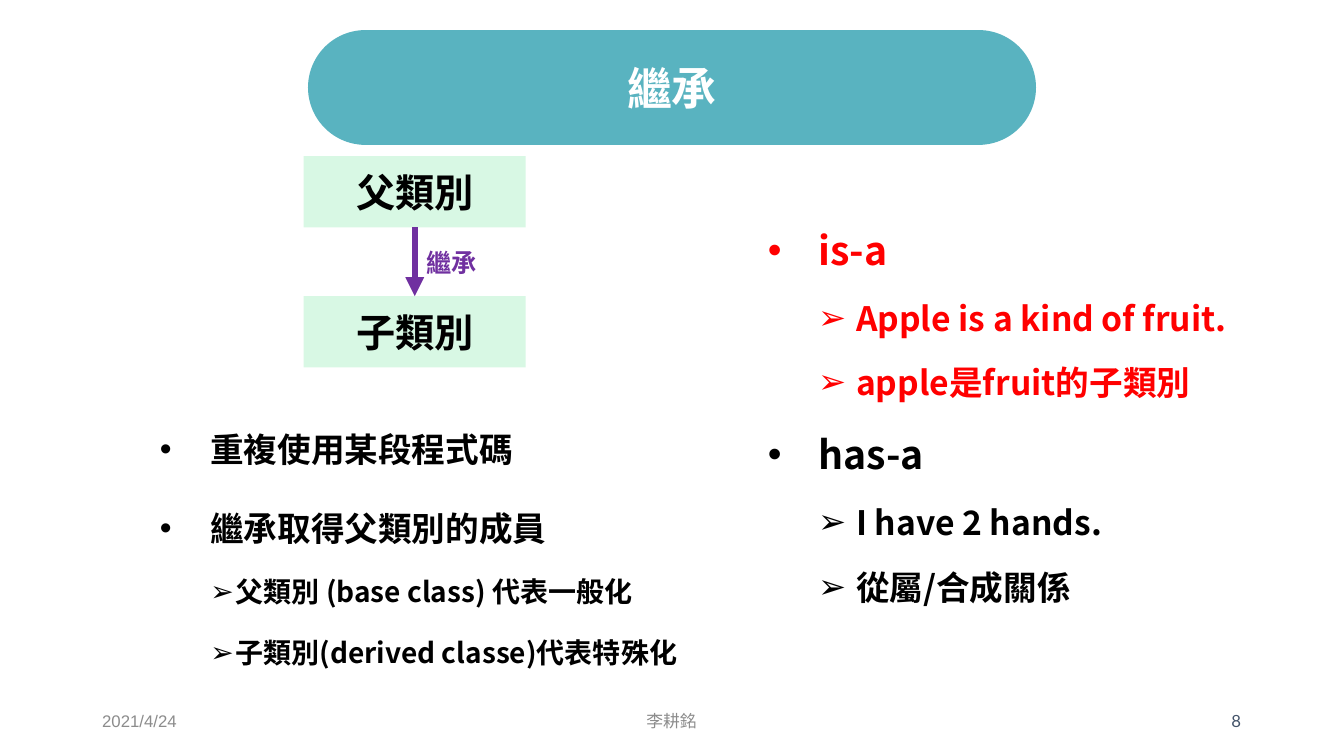
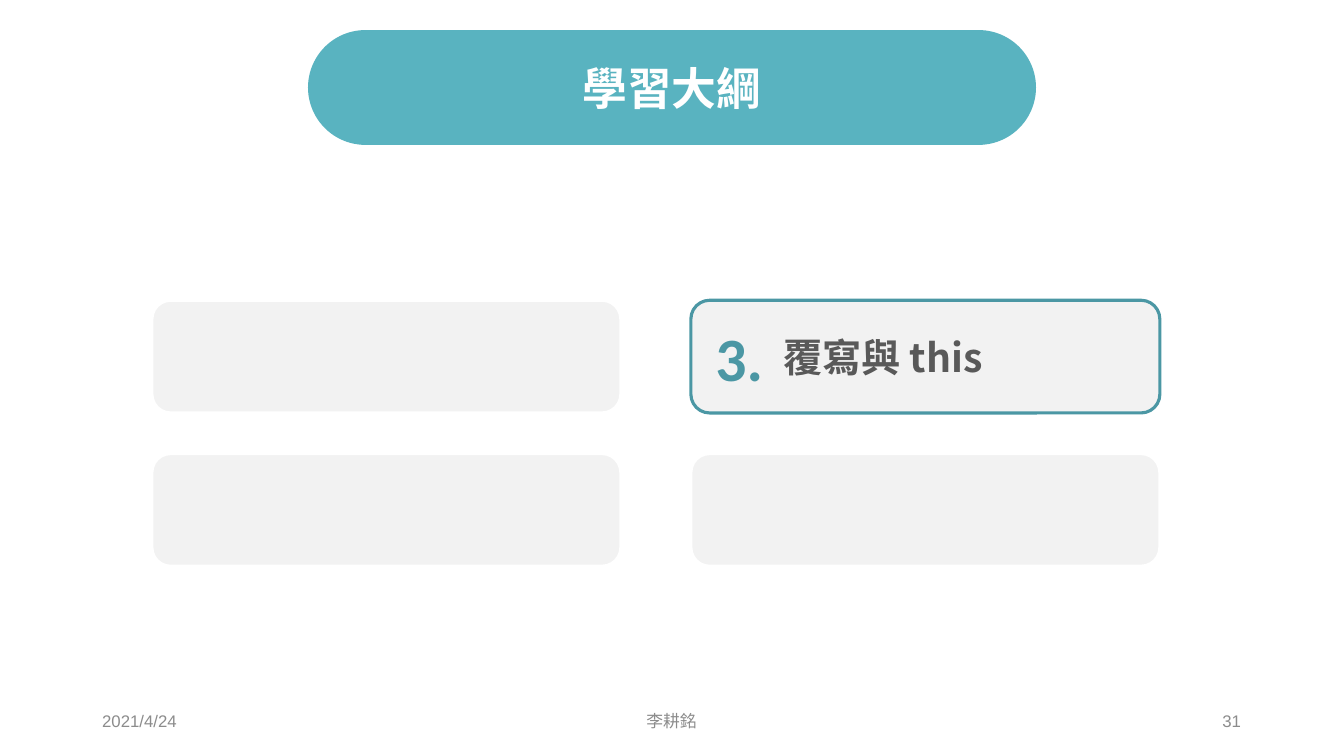
from lxml import etree
from pptx import Presentation
from pptx.dml.color import RGBColor
from pptx.enum import shapes, text
from pptx.oxml import ns
from pptx.util import Pt

COLORS = {
    "band": "59B3C0", "white": "FFFFFF", "black": "000000", "red": "FF0000",
    "class": "D8F8E4", "arrow": "7030A0", "card": "F2F2F2", "accent": "4B97A4",
    "label": "595959", "footer": "8C8C8C", "page": "44546A",
}
SC, TC = "Noto Sans CJK SC", "Noto Sans CJK TC"
ALIGN, ANCHOR = text.PP_ALIGN, text.MSO_ANCHOR
SHAPE = shapes.MSO_SHAPE
TITLE_BOX = (66, 21.5, 828, 82)
BAND_BOX = (220, 21.5, 520, 82)
FOOTER_BOX = (73, 500.5, 813.5, 29)


def rgb(name):
    return RGBColor.from_string(COLORS[name])


def sub(parent, tag, **attributes):
    return etree.SubElement(parent, ns.qn(tag), attributes)


def place(shape, box):
    shape.left, shape.top, shape.width, shape.height = (Pt(value) for value in box)


def style(paragraph, size, color, font=SC, bold=True):
    for run in paragraph.runs:
        run.font.size, run.font.bold, run.font.name = Pt(size), bold, font
        run.font.color.rgb = rgb(color)
        east_asian = font if font in (SC, TC) else SC
        run.font._element.find(ns.qn("a:latin")).addnext(
            etree.Element(ns.qn("a:ea"), typeface=east_asian))


def write(shape, content, size, color, font=SC, bold=True,
          align=ALIGN.LEFT, anchor=ANCHOR.MIDDLE):
    frame = shape.text_frame
    frame.text = content
    frame.word_wrap, frame.vertical_anchor = True, anchor
    frame.margin_left = frame.margin_right = 0
    frame.margin_top = frame.margin_bottom = 0
    for paragraph in frame.paragraphs:
        paragraph.alignment = align
        style(paragraph, size, color, font, bold)


def add_text(slide, box, content, *args, **options):
    write(slide.shapes.add_textbox(*map(Pt, box)), content, *args, **options)


def add_box(slide, kind, box, fill, line=None):
    shape = slide.shapes.add_shape(kind, *map(Pt, box))
    shape.shadow.inherit = False
    shape.fill.solid()
    shape.fill.fore_color.rgb = rgb(fill)
    if line:
        shape.line.color.rgb, shape.line.width = rgb(line), Pt(2.25)
    else:
        shape.line.fill.background()
    return shape


def add_band(slide, box):
    left, top, width, height = box
    for end in (left, left + width - height):
        add_box(slide, SHAPE.OVAL, (end, top, height, height), "band")
    return add_box(slide, SHAPE.RECTANGLE,
                   (left + height / 2, top, width - height, height), "band")


def add_title(slide, content, font):
    band = add_band(slide, BAND_BOX)
    title = slide.shapes.title
    band._element.addnext(title._element)
    place(title, TITLE_BOX)
    write(title, content, 32, "white", font, align=ALIGN.CENTER)


def add_footer(slide, page, page_font="Arial", page_color="footer"):
    left, top, width, height = FOOTER_BOX
    third = width / 3
    for index, (content, align, font, color) in enumerate((
        ("2021/4/24", ALIGN.LEFT, "Arial", "footer"),
        ("李耕銘", ALIGN.CENTER, "Arial", "footer"),
        (page, ALIGN.RIGHT, page_font, page_color),
    )):
        add_text(slide, (left + index * third, top, third, height),
                 content, 12, color, font, False, align=align)


def fill_list(placeholder, box, items, sizes, indents, before):
    place(placeholder, box)
    frame = placeholder.text_frame
    frame.text = "\n".join(content for _, content, _ in items)
    frame.word_wrap, frame.auto_size = True, text.MSO_AUTO_SIZE.NONE
    frame.vertical_anchor = ANCHOR.TOP
    for paragraph, (level, _, color) in zip(frame.paragraphs, items):
        paragraph.level = level
        paragraph.line_spacing = 1.6
        paragraph.space_before = Pt(before[level])
        style(paragraph, sizes[level], color)
        margin, hanging = indents[level]
        properties = paragraph._p.get_or_add_pPr()
        properties.set("marL", str(Pt(margin)))
        properties.set("indent", str(-Pt(hanging)))
        sub(properties, "a:buFont", typeface="Arial")
        sub(properties, "a:buChar", char="•➢"[level])


def add_arrow(slide, start, end):
    arrow = slide.shapes.add_connector(shapes.MSO_CONNECTOR.STRAIGHT, 0, 0, 0, 0)
    arrow.begin_connect(start, 2)
    arrow.end_connect(end, 0)
    arrow.line.color.rgb, arrow.line.width = rgb("arrow"), Pt(4.5)
    sub(arrow.line._get_or_add_ln(), "a:tailEnd", type="triangle")
    sub(arrow._element.spPr, "a:effectLst")


def add_class_diagram(slide, box):
    left, top, width, height = box
    class_height = 51
    classes = []
    for content, y in (("父類別", top), ("子類別", top + height - class_height)):
        shape = add_box(slide, SHAPE.RECTANGLE, (left, y, width, class_height), "class")
        write(shape, content, 28, "black", "Calibri", align=ALIGN.CENTER)
        classes.append(shape)
    add_arrow(slide, *classes)
    gap = height - 2 * class_height
    add_text(slide, (left + width / 2 + 8.5, top + class_height + 0.5, 44, gap),
             "繼承", 18, "arrow", "Calibri")


def add_card(slide, box, line):
    add_box(slide, SHAPE.ROUNDED_RECTANGLE, box, "card", line)


def add_active_card(slide, box, number, content):
    left, top, width, height = box
    add_card(slide, box, "accent")
    add_text(slide, (left + 10, top, 49, height), number, 44,
             "accent", "Calibri", align=ALIGN.CENTER)
    add_text(slide, (left + 66, top, width - 70, height), content, 28, "label", TC)


def add_cards(slide, box, active, content):
    left, top, width, height = box
    card_width, card_height = 335, 80.5
    for index in range(4):
        column, row = divmod(index, 2)
        card_box = (left + column * (width - card_width),
                    top + row * (height - card_height), card_width, card_height)
        if index + 1 == active:
            add_active_card(slide, card_box, f"{active}.", content)
        else:
            add_card(slide, card_box, "white")


def build_inheritance(presentation):
    slide = presentation.slides.add_slide(presentation.slide_layouts[3])
    add_title(slide, "繼承", SC)
    fill_list(slide.placeholders[1], (107, 285.5, 408, 220), [
        (0, "重複使用某段程式碼", "black"),
        (0, "繼承取得父類別的成員", "black"),
        (1, "父類別 (base class) 代表一般化", "black"),
        (1, "子類別(derived classe)代表特殊化", "black"),
    ], (24, 20), ((36, 36), (54, 18)), (10, 5))
    fill_list(slide.placeholders[2], (541.25, 138, 410, 302), [
        (0, "is-a", "red"),
        (1, "Apple is a kind of fruit.", "red"),
        (1, "apple是fruit的子類別", "red"),
        (0, "has-a", "black"),
        (1, "I have 2 hands.", "black"),
        (1, "從屬/合成關係", "black"),
    ], (28, 24), ((36, 36), (63, 27)), (0, 0))
    add_class_diagram(slide, (217, 111.5, 158.5, 151))
    add_footer(slide, "8", "Lato", "page")


def build_outline(presentation):
    slide = presentation.slides.add_slide(presentation.slide_layouts[5])
    add_title(slide, "學習大綱", TC)
    add_cards(slide, (108.5, 214.5, 720, 190), 3, "覆寫與 this")
    add_footer(slide, "31")


def main():
    presentation = Presentation()
    presentation.slide_width, presentation.slide_height = Pt(960), Pt(540)
    build_inheritance(presentation)
    build_outline(presentation)
    presentation.save("out.pptx")


if __name__ == "__main__":
    main()
